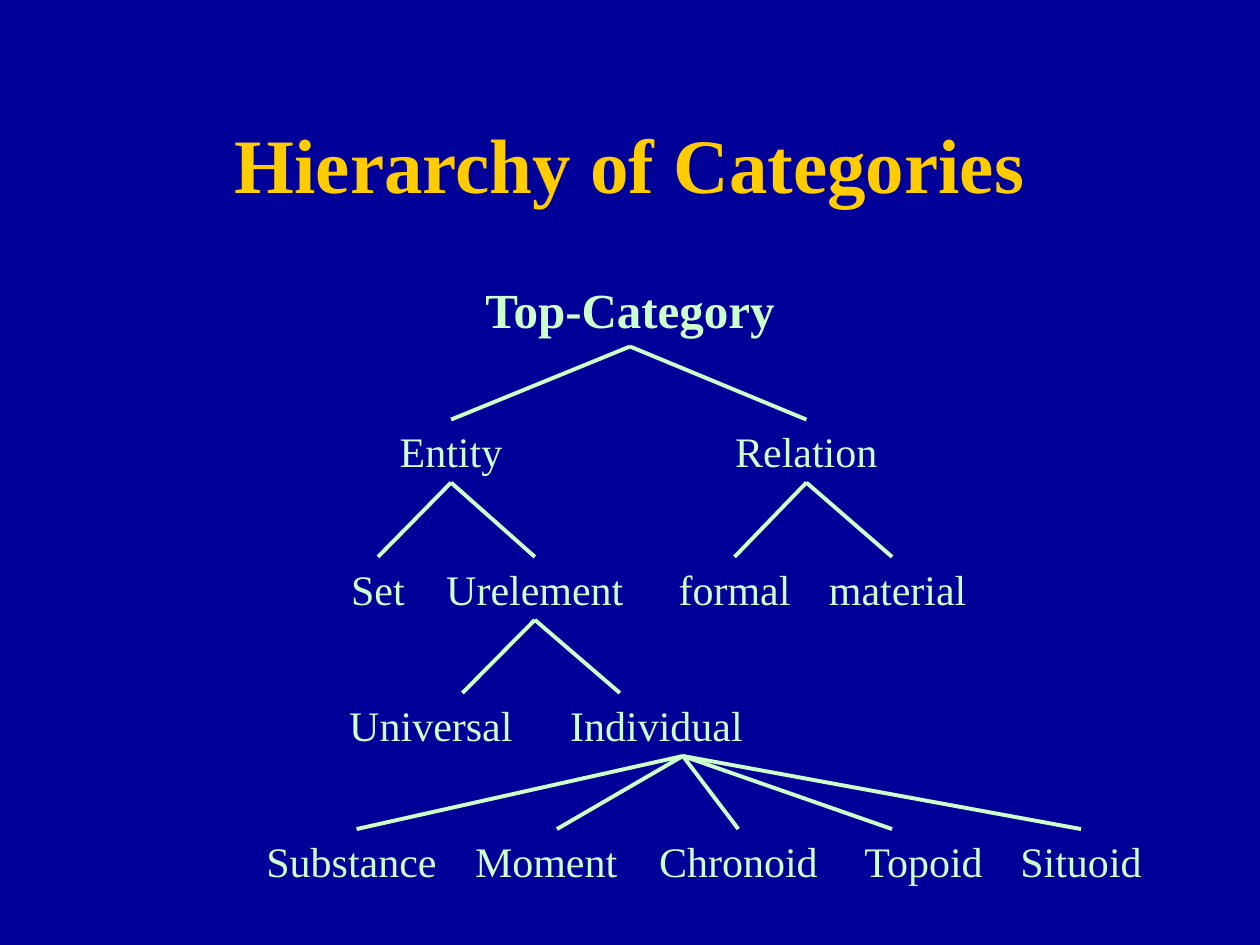
from dataclasses import dataclass
from typing import Optional

from lxml.etree import SubElement
from pptx import Presentation
from pptx.dml.color import RGBColor
from pptx.enum.shapes import MSO_CONNECTOR
from pptx.enum.text import MSO_ANCHOR, MSO_AUTO_SIZE, PP_ALIGN
from pptx.oxml.ns import qn
from pptx.util import Inches, Pt

COLOURS = {"background": "000099", "title": "FFCC00", "tree": "CCFFCC"}
TITLE_FONT = {"name": "Times New Roman", "size": Pt(44), "bold": True}
ROOT_FONT = {"name": "Times New Roman", "size": Pt(28), "bold": True}
CATEGORY_FONT = {"name": "Times New Roman", "size": Pt(24), "bold": False}
FRAME = {"word_wrap": True, "margin_left": Inches(0.1), "margin_right": Inches(0.1),
         "margin_top": Inches(0.05), "margin_bottom": Inches(0.05)}
LEVEL_TOPS = [2.17, 3.33, 4.42, 5.5, 6.58]
ROOT_HEIGHT, CATEGORY_HEIGHT = 0.58, 0.5
TOP_SIDE, BOTTOM_SIDE = 0, 2


@dataclass
class Category:
    """A tree node; entry_x and exit_x hold branch ends that are off its centre."""
    name: str
    parent: Optional[str]
    level: int
    left: float
    width: float
    entry_x: Optional[float] = None
    exit_x: Optional[float] = None


CATEGORIES = [
    Category("Top-Category", None, 0, 0, 10),
    Category("Entity", "Top-Category", 1, 2.83, 1.5),
    Category("Relation", "Top-Category", 1, 5.4, 2),
    Category("Set", "Entity", 2, 2.25, 1.5),
    Category("Urelement", "Entity", 2, 3.33, 1.83),
    Category("formal", "Relation", 2, 5.08, 1.5),
    Category("material", "Relation", 2, 6.04, 2.17, entry_x=7.08),
    Category("Universal", "Urelement", 3, 2.67, 1.5, entry_x=3.67),
    Category("Individual", "Urelement", 3, 4.17, 2.08, entry_x=4.92, exit_x=5.42),
    Category("Substance", "Individual", 4, 1.75, 2.08, entry_x=2.83),
    Category("Moment", "Individual", 4, 3.67, 1.33, entry_x=4.42),
    Category("Chronoid", "Individual", 4, 4.92, 1.88),
    Category("Topoid", "Individual", 4, 6.58, 1.5, entry_x=7.08),
    Category("Situoid", "Individual", 4, 7.83, 1.5),
]


def colour(part):
    return RGBColor.from_string(COLOURS[part])


def apply_format(target, values):
    for attribute, value in values.items():
        setattr(target, attribute, value)


def write_text(holder, text, font_format, part):
    frame = holder.text_frame
    apply_format(frame, FRAME)
    frame.text = text
    paragraph = frame.paragraphs[0]
    paragraph.alignment = PP_ALIGN.CENTER
    font = paragraph.runs[0].font
    apply_format(font, font_format)
    font.color.rgb = colour(part)


def add_title(slide, text):
    title = slide.shapes.title
    apply_format(title, {"left": Inches(0), "top": Inches(0.67),
                         "width": Inches(10), "height": Inches(1.25)})
    write_text(title, text, TITLE_FONT, "title")
    title.text_frame.vertical_anchor = MSO_ANCHOR.MIDDLE


def add_category(slide, category):
    is_root = category.parent is None
    label = slide.shapes.add_textbox(
        Inches(category.left), Inches(LEVEL_TOPS[category.level]),
        Inches(category.width), Inches(ROOT_HEIGHT if is_root else CATEGORY_HEIGHT))
    write_text(label, category.name, ROOT_FONT if is_root else CATEGORY_FONT, "tree")
    label.text_frame.auto_size = MSO_AUTO_SIZE.SHAPE_TO_FIT_TEXT
    return label


def branch_end(label, side, x):
    """Give the point on a label's top or bottom side, at x or at its middle."""
    end_x = label.left + label.width // 2 if x is None else Inches(x)
    return end_x, label.top + (label.height if side == BOTTOM_SIDE else 0)


def add_branch(slide, parent_label, exit_x, child_label, entry_x):
    branch = slide.shapes.add_connector(
        MSO_CONNECTOR.STRAIGHT,
        *branch_end(parent_label, BOTTOM_SIDE, exit_x),
        *branch_end(child_label, TOP_SIDE, entry_x))
    if exit_x is None:
        branch.begin_connect(parent_label, BOTTOM_SIDE)
    if entry_x is None:
        branch.end_connect(child_label, TOP_SIDE)
    branch.line.color.rgb = colour("tree")
    branch.line.width = Pt(2.25)
    SubElement(branch.element.spPr, qn("a:effectLst"))


def add_tree(slide):
    labels = {category.name: add_category(slide, category) for category in CATEGORIES}
    exits = {category.name: category.exit_x for category in CATEGORIES}
    for category in CATEGORIES:
        if category.parent:
            add_branch(slide, labels[category.parent], exits[category.parent],
                       labels[category.name], category.entry_x)


def main():
    deck = Presentation()
    deck.slide_width, deck.slide_height = Inches(10), Inches(7.5)
    slide = deck.slides.add_slide(deck.slide_layouts.get_by_name("Title Only"))
    slide.background.fill.solid()
    slide.background.fill.fore_color.rgb = colour("background")
    add_title(slide, "Hierarchy of Categories")
    add_tree(slide)
    deck.save("out.pptx")


if __name__ == "__main__":
    main()
